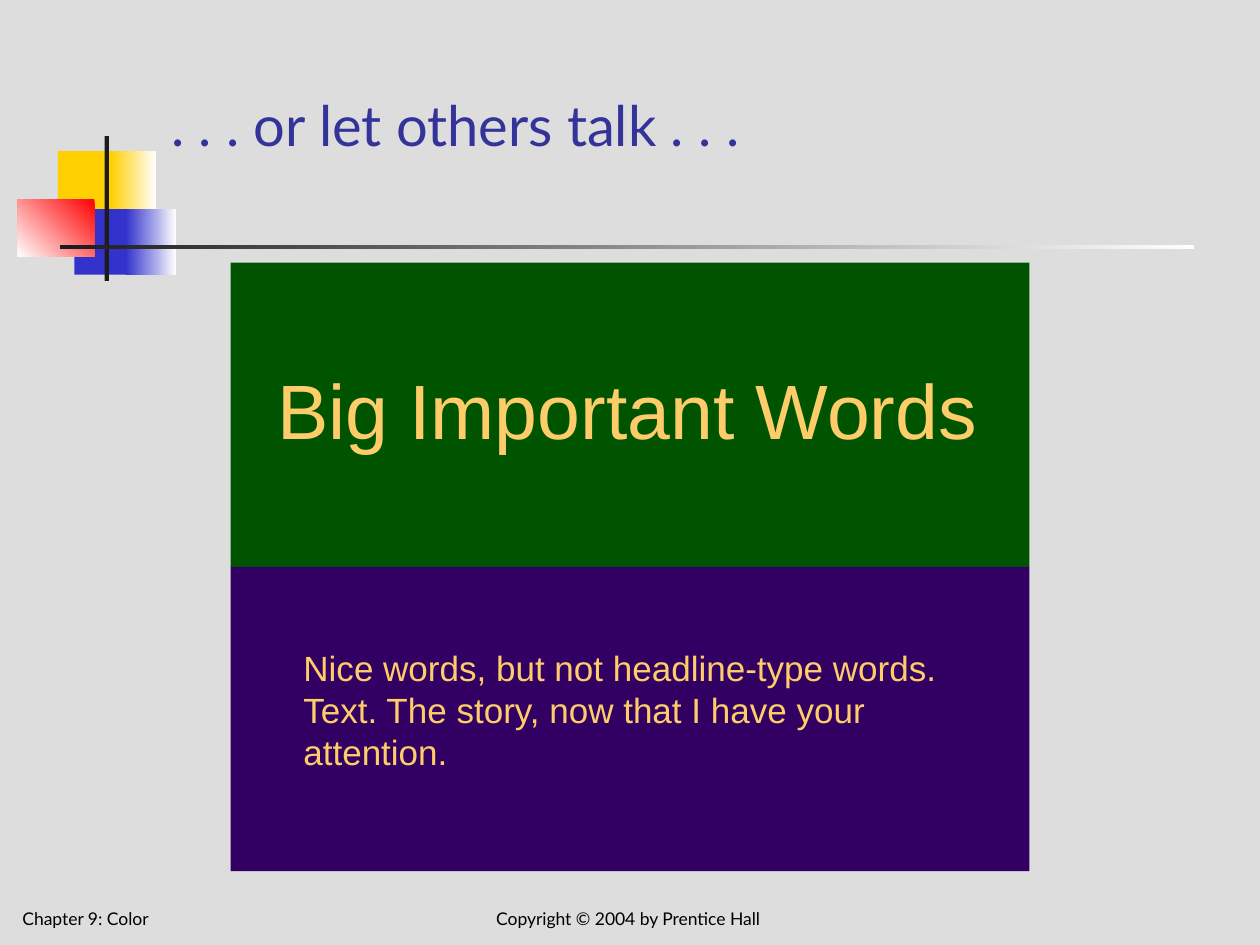
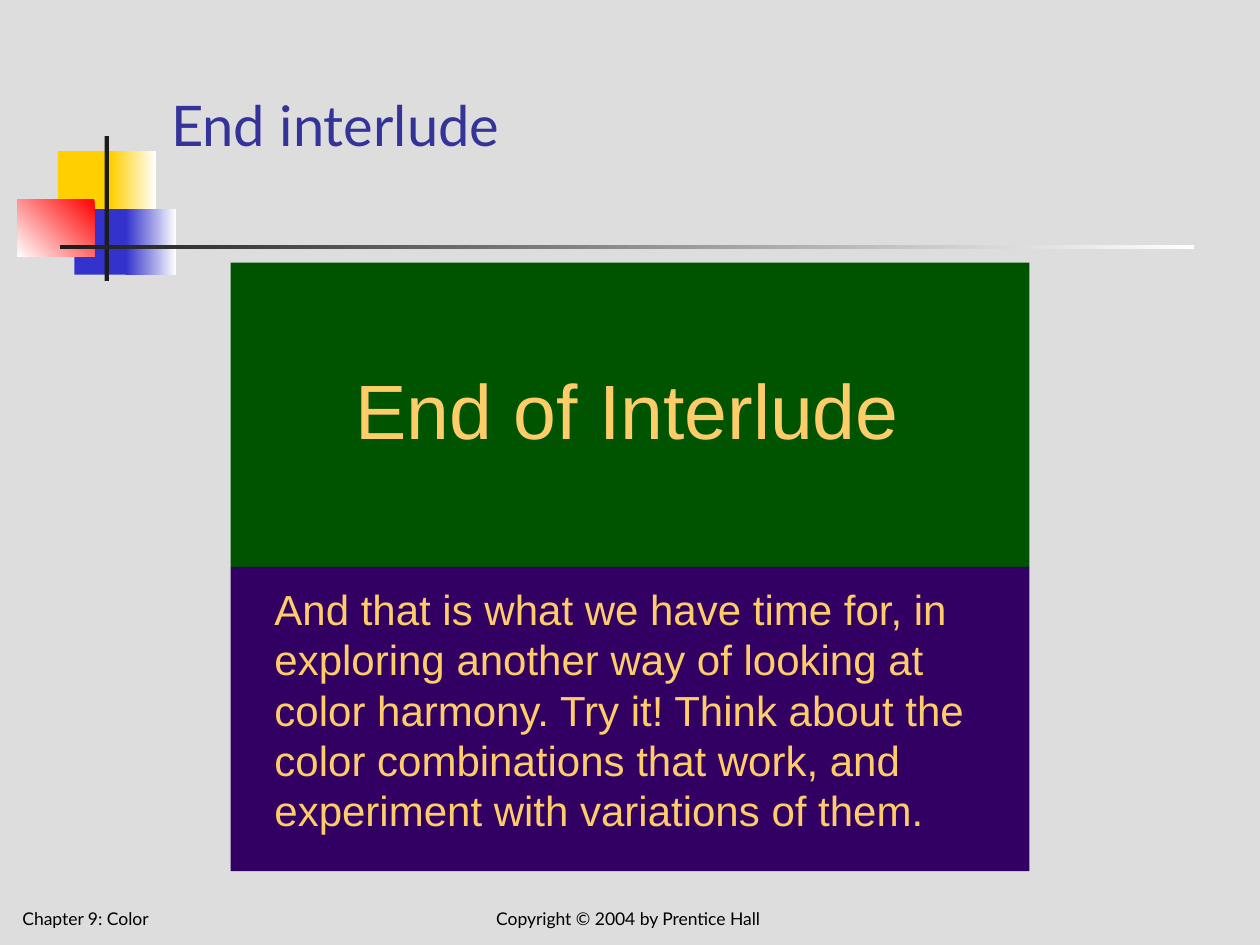
from dataclasses import dataclass

from pptx import Presentation
from pptx.dml.color import RGBColor
from pptx.enum.shapes import MSO_SHAPE
from pptx.enum.text import MSO_ANCHOR, PP_ALIGN
from pptx.util import Inches, Pt


@dataclass(frozen=True)
class Theme:
    backdrop: str = "DDDDDD"
    title: str = "333399"
    footer: str = "000000"
    green: str = "005400"
    purple: str = "320063"
    gold: str = "FECD6A"
    yellow: str = "FFCF01"
    blue: str = "3333CC"
    red: str = "FF0000"
    white: str = "FFFFFF"
    ink: str = "1C1C1C"
    slide_font: str = "Lato"
    sample_font: str = "Arial"
    title_size: int = 32
    headline_size: int = 44
    footer_size: int = 10
    leading: float = 1.2


theme = Theme()

deck = Presentation()
deck.slide_width, deck.slide_height = Inches(10), Inches(7.5)

# Grid of 100 columns and 75 rows
COLUMN = deck.slide_width / 100
ROW = deck.slide_height / 75


def add_block(slide, area, colors=(), angle=180):
    """Rectangle on the grid: no colour, one solid colour or a two-colour gradient."""
    left, top, width, height = area
    block = slide.shapes.add_shape(
        MSO_SHAPE.RECTANGLE, round(left * COLUMN), round(top * ROW),
        round(width * COLUMN), round(height * ROW))
    block.shadow.inherit = False
    block.line.fill.background()
    if len(colors) == 2:
        block.fill.gradient()
        block.fill.gradient_angle = angle
        for stop, color in zip(block.fill.gradient_stops, colors):
            stop.color.rgb = RGBColor.from_string(color)
    elif colors:
        block.fill.solid()
        block.fill.fore_color.rgb = RGBColor.from_string(colors[0])
    else:
        block.fill.background()
    return block


def add_words(block, words, font, size, color, align=PP_ALIGN.LEFT, anchor=MSO_ANCHOR.TOP):
    frame = block.text_frame
    frame.word_wrap = True
    frame.vertical_anchor = anchor
    paragraph = frame.paragraphs[0]
    paragraph.text = words
    paragraph.alignment = align
    paragraph.line_spacing = Pt(size * theme.leading)
    paragraph.font.name = font
    paragraph.font.size = Pt(size)
    paragraph.font.color.rgb = RGBColor.from_string(color)
    return frame


# Shared ornament: area, colours, gradient angle
ornament = [
    ((4.6, 12, 4.8, 5.2), [theme.yellow], 180),
    ((8.8, 12, 3.6, 5.2), [theme.white, theme.yellow], 180),
    ((5.9, 16.6, 4.6, 5.2), [theme.blue], 180),
    ((10, 16.6, 4, 5.2), [theme.white, theme.blue], 180),
    ((1.4, 15.8, 6.1, 4.6), [theme.red, theme.white], 225),
    ((8.3, 10.8, 0.35, 11.5), [theme.ink], 180),
    ((4.8, 19.45, 90, 0.35), [theme.white, theme.ink], 180),
]

# Shared footers: area, words, alignment
footers = [
    ((34, 69.2, 31.7, 5), "Copyright © 2004 by Prentice Hall", PP_ALIGN.CENTER),
    ((0.8, 69.2, 28.3, 5), "Chapter 9: Color", PP_ALIGN.LEFT),
]

# Two stacked panels of equal size
panel_left, panel_top, panel_width, panel_height = 18.3, 20.85, 63.4, 24.15

# Content of each slide: title, headline, story, story area, story size
pages = [
    (". . . or let others talk . . .", "Big Important Words",
     "Nice words, but not headline-type words. Text. The story, "
     "now that I have your attention.",
     (23.1, 50.8, 53.3, 11), 20),
    ("End interlude", "End of Interlude",
     "And that is what we have time for, in exploring another way of looking at "
     "color harmony. Try it! Think about the color combinations that work, and "
     "experiment with variations of them.",
     (20.8, 45.8, 59.2, 21), 24),
]

for title, headline, story, story_area, story_size in pages:
    slide = deck.slides.add_slide(deck.slide_layouts[6])
    slide.background.fill.solid()
    slide.background.fill.fore_color.rgb = RGBColor.from_string(theme.backdrop)

    for area, colors, angle in ornament:
        add_block(slide, area, colors, angle)

    # Title, raised one line above the bottom of its box
    title_frame = add_words(add_block(slide, (12.6, 2.3, 85.2, 16)), title,
                            theme.slide_font, theme.title_size, theme.title,
                            anchor=MSO_ANCHOR.BOTTOM)
    title_frame.margin_bottom = Inches(0.58)

    # Colour sample
    for row, color in enumerate([theme.green, theme.purple]):
        add_block(slide, (panel_left, panel_top + row * panel_height,
                          panel_width, panel_height), [color])
    add_words(add_block(slide, (20.2, 28.3, 59.2, 8.4), [theme.green]), headline,
              theme.sample_font, theme.headline_size, theme.gold, PP_ALIGN.CENTER)
    add_words(add_block(slide, story_area), story,
              theme.sample_font, story_size, theme.gold)

    for area, words, align in footers:
        add_words(add_block(slide, area), words, theme.slide_font,
                  theme.footer_size, theme.footer, align, MSO_ANCHOR.BOTTOM)

deck.save("out.pptx")
